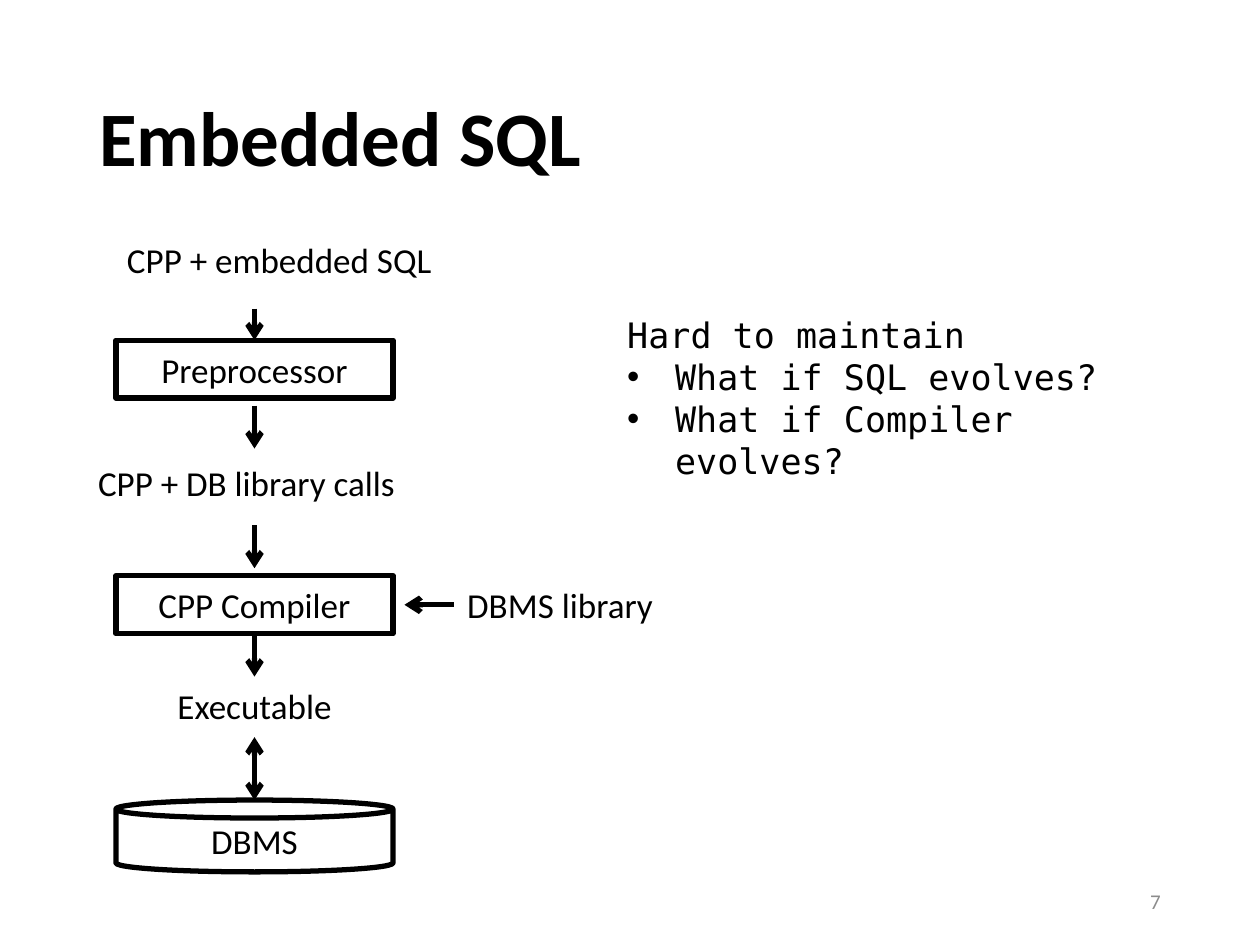
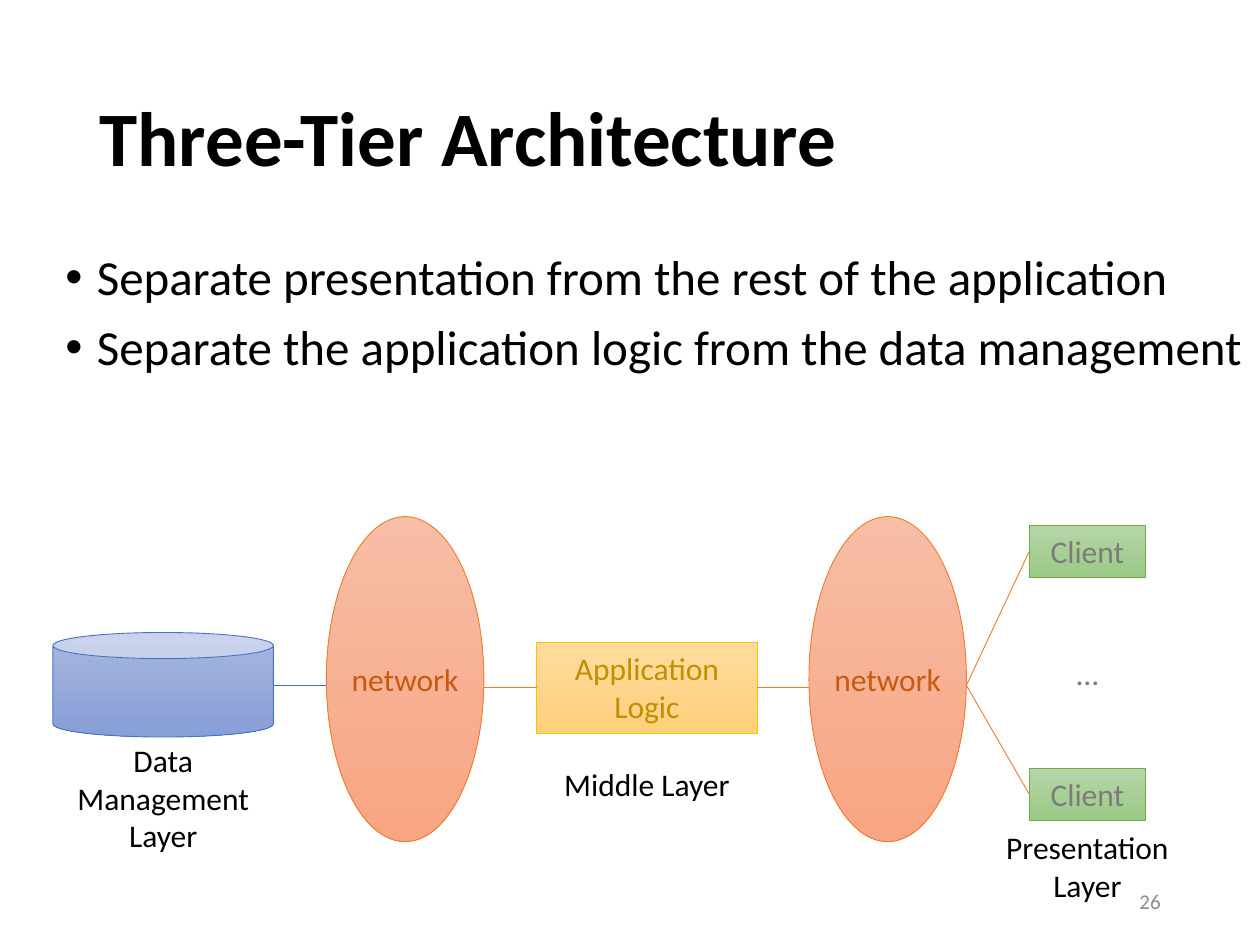
from dataclasses import dataclass
from lxml.etree import SubElement
from pptx import Presentation
from pptx.dml.color import RGBColor
from pptx.enum.shapes import MSO_CONNECTOR as Connector, MSO_SHAPE as Shape
from pptx.enum.text import MSO_ANCHOR as Anchor, PP_ALIGN as Align
from pptx.oxml.ns import qn
from pptx.util import Inches, Pt


@dataclass(frozen=True)
class Theme:
    font: str = "Calibri"
    mono: str = "DejaVu Sans Mono"
    black: str = "000000"
    white: str = "FFFFFF"
    gray: str = "8C8C8C"
    client_text: str = "7C7C7C"
    logic_text: str = "BF9000"
    network_text: str = "C55A11"
    blue: str = "4472C4"
    orange: str = "ED7D31"
    gold: str = "FFC000"
    green: str = "70AD47"
    blue_fill: tuple = ("A8B7DF", "889ED7")
    orange_fill: tuple = ("F7BDA5", "F8A582")
    gold_fill: tuple = ("FFDB9E", "FFD07C")
    green_fill: tuple = ("B5D5A7", "9CC987")
    title_size: int = 44
    body_size: int = 28
    flow_size: int = 20
    tier_size: int = 18
    number_size: int = 12
    thick: float = 3
    thin: float = 0.5


theme = Theme()


def add_box(slide, at, lines=(), kind=None, size=theme.tier_size, color=theme.black,
            font=theme.font, bold=False, align=Align.LEFT, anchor=Anchor.TOP, wrap=True,
            fill=None, outline=None, weight=theme.thin, indent=0, first_bullet=0,
            spacing=None, before=None):
    place = [Inches(value) for value in at]
    if kind is None:
        shape = slide.shapes.add_textbox(*place)
    else:
        shape = slide.shapes.add_shape(kind, *place)
        shape.shadow.inherit = False
        if isinstance(fill, tuple):
            shape.fill.gradient()
            shape.fill.gradient_angle = 270
            for stop, stop_color in zip(shape.fill.gradient_stops, fill):
                stop.color.rgb = RGBColor.from_string(stop_color)
        else:
            shape.fill.solid()
            shape.fill.fore_color.rgb = RGBColor.from_string(fill)
        shape.line.color.rgb = RGBColor.from_string(outline)
        shape.line.width = Pt(weight)
    frame = shape.text_frame
    frame.word_wrap = wrap
    frame.vertical_anchor = anchor
    for number, line in enumerate(lines):
        paragraph = frame.add_paragraph() if number else frame.paragraphs[0]
        paragraph.text = line
        paragraph.alignment = align
        paragraph.font.name = font
        paragraph.font.size = Pt(size)
        paragraph.font.bold = bold
        paragraph.font.color.rgb = RGBColor.from_string(color)
        paragraph.line_spacing = spacing
        if before:
            paragraph.space_before = Pt(before)
        if indent and number >= first_bullet:
            properties = paragraph._p.get_or_add_pPr()
            properties.set("marL", str(Inches(indent)))
            properties.set("indent", str(Inches(-indent)))
            bullet_font = SubElement(properties, qn("a:buFont"), typeface="Arial")
            bullet_font.addnext(SubElement(properties, qn("a:buChar"), char="•"))
            properties.append(properties.find(qn("a:defRPr")))
    return shape


def add_line(slide, start, end, color=theme.black, weight=theme.thick, arrows=("tailEnd",),
             begin=None, finish=None):
    connector = slide.shapes.add_connector(
        Connector.STRAIGHT, *[Inches(value) for value in (*start, *end)])
    if begin:
        connector.begin_connect(*begin)
    if finish:
        connector.end_connect(*finish)
    connector.line.color.rgb = RGBColor.from_string(color)
    connector.line.width = Pt(weight)
    for arrow in arrows:
        SubElement(connector.line._get_or_add_ln(), qn(f"a:{arrow}"), type="arrow")
    SubElement(connector._element.spPr, qn("a:effectLst"))


presentation = Presentation()
presentation.slide_width = Inches(10)
presentation.slide_height = Inches(7.5)

slides = []
for title, number in [("Embedded SQL", "7"), ("Three-Tier Architecture", "26")]:
    slide = presentation.slides.add_slide(presentation.slide_layouts[6])
    add_box(slide, (0.69, 0.4, 8.62, 1.45), [title], size=theme.title_size, bold=True,
            anchor=Anchor.MIDDLE, spacing=0.9)
    add_box(slide, (7.06, 6.95, 2.25, 0.4), [number], size=theme.number_size,
            color=theme.gray, align=Align.RIGHT, anchor=Anchor.MIDDLE)
    slides.append(slide)
embedded, three_tier = slides

add_box(embedded, (4.88, 2.44, 4.44, 1.45),
        ["Hard to maintain", "What if SQL evolves?", "What if Compiler evolves?"],
        size=theme.flow_size, font=theme.mono, indent=0.38, first_bullet=1)

for label, left, top, width in [
    ("CPP + embedded SQL", 0.91, 1.84, 2.77),
    ("CPP + DB library calls", 0.68, 3.61, 2.73),
    ("Executable", 1.31, 5.38, 1.42),
    ("DBMS library", 3.61, 4.58, 1.73),
]:
    add_box(embedded, (left, top, width, 0.44), [label], size=theme.flow_size, wrap=False)

steps = {}
for label, kind, top, height in [
    ("Preprocessor", Shape.RECTANGLE, 2.7, 0.46),
    ("CPP Compiler", Shape.RECTANGLE, 4.57, 0.46),
    ("DBMS", Shape.CAN, 6.35, 0.57),
]:
    steps[label] = add_box(embedded, (0.92, top, 2.2, height), [label], kind,
                           size=theme.flow_size, align=Align.CENTER, anchor=Anchor.MIDDLE,
                           wrap=False, fill=theme.white, outline=theme.black,
                           weight=theme.thick)

flow_x = 2.02
for top, bottom, begin, finish in [
    (2.45, 2.7, None, (steps["Preprocessor"], 0)),
    (3.22, 3.56, None, None),
    (4.17, 4.51, None, None),
    (5.03, 5.37, (steps["CPP Compiler"], 2), None),
]:
    add_line(embedded, (flow_x, top), (flow_x, bottom), begin=begin, finish=finish)
add_line(embedded, (flow_x, 5.85), (flow_x, 6.35), arrows=("headEnd", "tailEnd"))
add_line(embedded, (3.6, 4.8), (3.21, 4.8))

add_box(three_tier, (0.42, 1.96, 9.7, 2.7),
        ["Separate presentation from the rest of the application",
         "Separate the application logic from the data management"],
        size=theme.body_size, indent=0.25, spacing=0.9, before=10)

add_box(three_tier, (0.42, 5.02, 1.75, 0.83), kind=Shape.CAN,
        fill=theme.blue_fill, outline=theme.blue)
logic = add_box(three_tier, (4.26, 5.1, 1.75, 0.72), ["Application Logic"], Shape.RECTANGLE,
                color=theme.logic_text, align=Align.CENTER,
                fill=theme.gold_fill, outline=theme.gold)
for left in (2.59, 6.42):
    add_box(three_tier, (left, 4.1, 1.25, 2.58), ["network"], Shape.OVAL,
            color=theme.network_text, align=Align.CENTER, anchor=Anchor.MIDDLE, wrap=False,
            fill=theme.orange_fill, outline=theme.orange)

axis_y = 5.44
for top in (4.17, 6.1):
    client = add_box(three_tier, (8.17, top, 0.92, 0.41), ["Client"], Shape.RECTANGLE,
                     color=theme.client_text, align=Align.CENTER,
                     fill=theme.green_fill, outline=theme.green)
    add_line(three_tier, (7.67, axis_y), (8.17, top), theme.orange, theme.thin, (),
             finish=(client, 1))
add_box(three_tier, (8.17, 5.14, 0.92, 0.4), ["…"], color=theme.client_text,
        align=Align.CENTER)

logic_y = 5.46
add_line(three_tier, (2.59, axis_y), (2.17, axis_y), theme.blue, theme.thin, ())
add_line(three_tier, (4.26, logic_y), (3.84, logic_y), theme.orange, theme.thin, (),
         begin=(logic, 1))
add_line(three_tier, (6.42, logic_y), (6.01, logic_y), theme.orange, theme.thin, (),
         finish=(logic, 3))

for label, left, top, width, height in [
    ("Data Management Layer", 0.42, 5.83, 1.75, 1),
    ("Middle Layer", 4.26, 6.02, 1.75, 0.4),
    ("Presentation Layer", 7.84, 6.52, 1.58, 0.71),
]:
    add_box(three_tier, (left, top, width, height), [label], align=Align.CENTER)

presentation.save("out.pptx")
